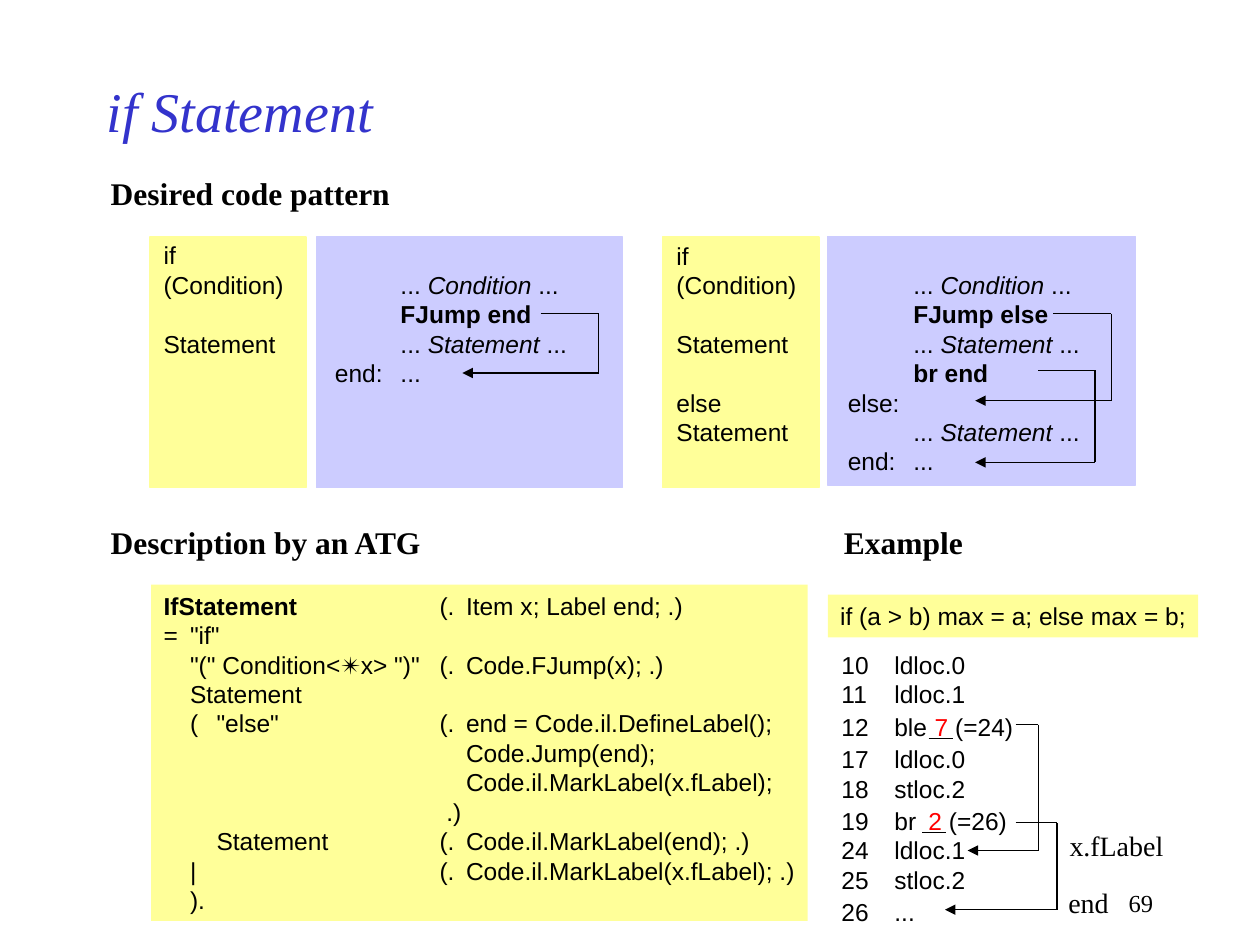
from lxml.etree import SubElement
from pptx import Presentation
from pptx.dml.color import RGBColor
from pptx.enum.shapes import MSO_CONNECTOR, MSO_SHAPE
from pptx.enum.text import MSO_ANCHOR, MSO_AUTO_SIZE, PP_ALIGN
from pptx.oxml.ns import qn
from pptx.util import Inches, Pt

BLACK = RGBColor(0x00, 0x00, 0x00)
RED = RGBColor(0xFF, 0x00, 0x00)
BLUE = RGBColor(0x33, 0x33, 0xCC)
LILAC = RGBColor(0xCC, 0xCC, 0xFF)
YELLOW = RGBColor(0xFF, 0xFF, 0x99)

CODE = {"name": "Arial", "size": Pt(14)}
LABEL = {"name": "Times New Roman", "size": Pt(16)}
HEADING = {"name": "Times New Roman", "size": Pt(18), "bold": True}
TITLE = {"name": "Times New Roman", "size": Pt(32), "italic": True, "color": BLUE}
PAGE_NUMBER = {"name": "Times New Roman", "size": Pt(14)}
BOLD = {"bold": True}
ITALIC = {"italic": True}

PATTERN_TABS = (1.36, 1.88)
GRAMMAR_TABS = (0.21, 0.42, 2.19, 2.4)
LISTING_TABS = (0.42,)

CONDITION = ["(Condition)\t\t... ", ("Condition", ITALIC), " ..."]
STATEMENT = ["Statement\t\t... ", ("Statement", ITALIC), " ..."]
IF_PATTERN = ["if", CONDITION, ["\t\t", ("FJump end", BOLD)], STATEMENT, "\tend:\t..."]
IF_ELSE_PATTERN = [
    "if", CONDITION, ["\t\t", ("FJump else", BOLD)], STATEMENT,
    ["\t\t", ("br end", BOLD)], "else\telse:\t", STATEMENT, "\tend:\t...",
]
GRAMMAR = [
    [("IfStatement\t", BOLD), "(.\tItem x; Label end; .)"],
    '=\t"if"',
    ['\t"(" Condition<', ("✴", {"name": "Calibri"}), 'x> ")"\t(.\tCode.FJump(x); .)'],
    "\tStatement",
    '\t(\t"else"\t(.\tend = Code.il.DefineLabel();',
    "\t\t\t\tCode.Jump(end);",
    "\t\t\t\tCode.il.MarkLabel(x.fLabel);",
    "\t\t\t .)",
    "\t\tStatement\t(.\tCode.il.MarkLabel(end); .)",
    "\t|\t\t(.\tCode.il.MarkLabel(x.fLabel); .)",
    "\t).",
]


def set_tabs(para, stops):
    tab_list = SubElement(para._p.get_or_add_pPr(), qn("a:tabLst"))
    for stop in stops:
        SubElement(tab_list, qn("a:tab"), pos=str(Inches(stop)), algn="l")


def add_span(para, text, style):
    span = para.add_run()
    span.text = text
    for name, value in {"color": BLACK, **style}.items():
        if name == "color":
            span.font.color.rgb = value
        else:
            setattr(span.font, name, value)


def fill_text(box, lines, style, tabs=(), anchor=MSO_ANCHOR.TOP, align=PP_ALIGN.LEFT):
    """Each line is a string or a list of strings and (string, format) pairs."""
    frame = box.text_frame
    frame.word_wrap = True
    frame.auto_size = MSO_AUTO_SIZE.NONE
    frame.vertical_anchor = anchor
    # Left-aligned lines may run up to the right edge of their box
    frame.margin_right = Inches(0.1 if align == PP_ALIGN.RIGHT else 0)
    for index, line in enumerate(lines):
        para = frame.add_paragraph() if index else frame.paragraphs[0]
        para.alignment = align
        if tabs:
            set_tabs(para, tabs)
        for part in [line] if isinstance(line, str) else line:
            text, extra = (part, {}) if isinstance(part, str) else part
            add_span(para, text, {**style, **extra})


def add_text(page, place, lines, style, **layout):
    box = page.shapes.add_textbox(*map(Inches, place))
    fill_text(box, lines, style, **layout)


def add_panel(page, place, color, outlined=False):
    panel = page.shapes.add_shape(MSO_SHAPE.RECTANGLE, *map(Inches, place))
    panel.shadow.inherit = False
    panel.fill.solid()
    panel.fill.fore_color.rgb = color
    if outlined:
        panel.line.color.rgb = color
        panel.line.width = Pt(0.75)
    else:
        panel.line.fill.background()
    return panel


def add_line(page, start, end, arrow=False):
    line = page.shapes.add_connector(MSO_CONNECTOR.STRAIGHT, *map(Inches, start + end))
    line.line.color.rgb = BLACK
    line.line.width = Pt(0.75)
    if arrow:
        SubElement(line.line._get_or_add_ln(), qn("a:tailEnd"), type="triangle")
    SubElement(line._element.spPr, qn("a:effectLst"))


def add_jump(page, start, bend, end):
    """Three lines from start, out to the bend, and back to an arrowhead at end."""
    (left, top), (target, bottom) = start, end
    add_line(page, (left, top), (bend, top))
    add_line(page, (bend, top), (bend, bottom))
    add_line(page, (bend, bottom), (target, bottom), arrow=True)


def add_pattern(page, source, code, text_left, lines):
    add_panel(page, code, LILAC, outlined=True)
    add_panel(page, source, YELLOW, outlined=True)
    height = 0.1 + 0.234 * len(lines)
    add_text(page, (text_left, 1.86, 3.39, height), lines, CODE, tabs=PATTERN_TABS)


def add_code_patterns(page):
    add_pattern(page, (1.19, 1.88, 1.24, 1.99), (2.51, 1.88, 2.43, 1.99), 1.2, IF_PATTERN)
    add_jump(page, (4.29, 2.49), 4.75, (3.67, 2.96))

    add_pattern(page, (5.26, 1.88, 1.24, 1.99), (6.57, 1.88, 2.44, 1.97), 5.27,
                IF_ELSE_PATTERN)
    add_jump(page, (8.36, 2.49), 8.82, (7.74, 3.18))
    add_jump(page, (8.24, 2.94), 8.69, (7.74, 3.67))


def add_grammar(page):
    panel = add_panel(page, (1.2, 4.64, 5.21, 2.67), YELLOW)
    fill_text(panel, GRAMMAR, CODE, GRAMMAR_TABS)


def add_example(page):
    panel = add_panel(page, (6.57, 4.72, 2.94, 0.34), YELLOW)
    fill_text(panel, ["if (a > b) max = a; else max = b;"], CODE)

    # Instruction listing
    for top, width, height, lines in (
        (5.11, 1.18, 0.57, ["10\tldloc.0", "11\tldloc.1"]),
        (5.6, 0.87, 0.34, ["12\tble"]),
        (5.86, 1.18, 0.57, ["17\tldloc.0", "18\tstloc.2"]),
        (6.35, 0.79, 0.34, ["19\tbr"]),
        (6.58, 1.18, 0.57, ["24\tldloc.1", "25\tstloc.2"]),
        (7.07, 0.78, 0.34, ["26\t..."]),
    ):
        add_text(page, (6.58, top, width, height), lines, CODE, tabs=LISTING_TABS)

    # Patched jump distances, each over a short rule
    for left, top, distance, target in (
        (7.32, 5.6, "7", " (=24)"),
        (7.27, 6.35, "2", " (=26)"),
    ):
        add_text(page, (left, top, 0.82, 0.34), [[(distance, {"color": RED}), target]], CODE)
        add_line(page, (left + 0.05, top + 0.26), (left + 0.24, top + 0.26))

    # Jumps and their labels
    add_jump(page, (8.06, 5.75), 8.24, (7.68, 6.75))
    add_jump(page, (8.06, 6.53), 8.39, (7.5, 7.22))
    add_text(page, (8.39, 6.53, 0.94, 0.37), ["x.fLabel"], LABEL)
    add_text(page, (8.38, 6.98, 0.68, 0.37), ["end"], LABEL)


def main():
    deck = Presentation()
    deck.slide_width, deck.slide_height = Inches(10), Inches(7.5)
    page = deck.slides.add_slide(deck.slide_layouts[6])

    # Title, headings and page number
    add_text(page, (0.75, 0.5, 7.5, 0.75), ["if Statement"], TITLE, anchor=MSO_ANCHOR.MIDDLE)
    add_text(page, (0.78, 1.33, 2.42, 0.4), ["Desired code pattern"], HEADING)
    add_text(page, (0.78, 4.1, 2.69, 0.4), ["Description by an ATG"], HEADING)
    add_text(page, (6.6, 4.1, 1.14, 0.4), ["Example"], HEADING)
    add_text(page, (7.17, 7, 2.08, 0.33), ["69"], PAGE_NUMBER, align=PP_ALIGN.RIGHT)

    # Content
    add_code_patterns(page)
    add_grammar(page)
    add_example(page)
    deck.save("out.pptx")


if __name__ == "__main__":
    main()
